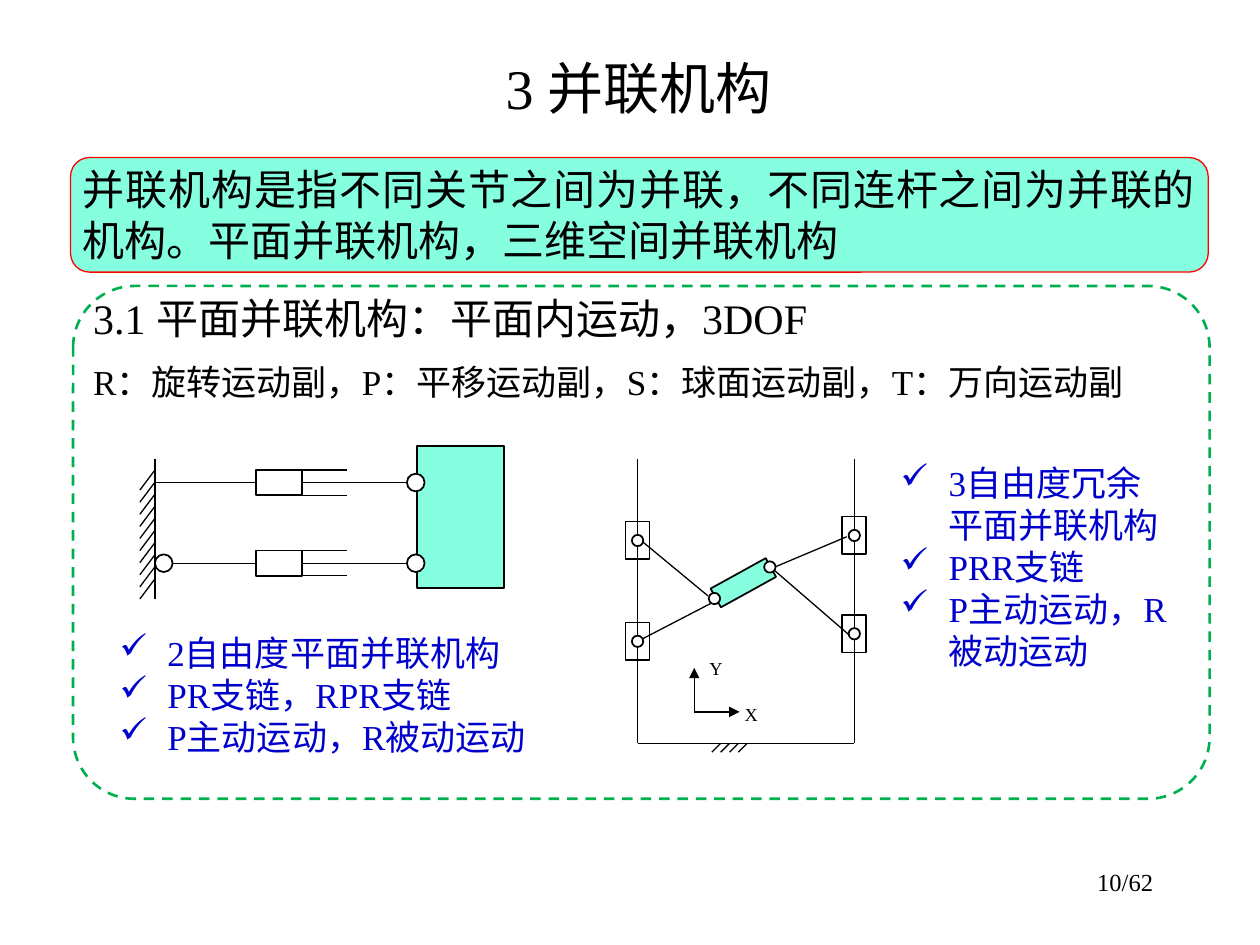
import pptx
import pptx.util
import pptx.dml.color
import pptx.enum.dml
import pptx.enum.shapes
import pptx.enum.text
import pptx.oxml.ns
from lxml import etree

Inches, Pt = pptx.util.Inches, pptx.util.Pt
SHAPE = pptx.enum.shapes.MSO_SHAPE
ALIGN = pptx.enum.text.PP_ALIGN
qn = pptx.oxml.ns.qn

THEME = {
    "latin": "Times New Roman", "cjk": "Noto Sans CJK SC",
    "ink": "000000", "note": "0000CC", "mint": "85FFE0", "white": "FFFFFF",
    "red": "FF0000", "green": "00B050",
    "title": 32, "head": 24, "body": 20, "page": 14, "axis": 10.5,
    "thin": 0.75, "outline": 1, "dash": 1.5,
}

TITLE = "3 并联机构"
DEFINITION = ("并联机构是指不同关节之间为并联，不同连杆之间为并联的机构。"
              "平面并联机构，三维空间并联机构")
SECTION = "3.1 平面并联机构：平面内运动，3DOF"
LEGEND = "R：旋转运动副，P：平移运动副，S：球面运动副，T：万向运动副"
PAGE = "10/62"
TWO_DOF = ["2自由度平面并联机构", "PR支链，RPR支链", "P主动运动，R被动运动"]
THREE_DOF = ["3自由度冗余平面并联机构", "PRR支链", "P主动运动，R被动运动"]

# Mechanism with two degrees of freedom
WALL_X, WALL_TOP, WALL_BOTTOM = 1.23, 3.64, 4.75
PLATFORM = (3.31, 3.54, 0.69, 1.13)
CHAINS = [(3.83, False), (4.47, True)]  # height, joint at the wall
CYLINDER_X, CYLINDER_W, CYLINDER_H = 2.03, 0.37, 0.2
ROD_END, JOINT, JOINT_X = 2.75, 0.14, 3.3

# Mechanism with three degrees of freedom
RAILS, RAIL_TOP, BASE_Y = (5.06, 6.78), 3.64, 5.9
SLIDERS = [(5.06, 4.29), (5.06, 5.09), (6.78, 4.25), (6.78, 5.03)]
SLIDER_W, SLIDER_H, PIN = 0.19, 0.3, 0.09
EFFECTOR = (5.65, 4.54, 0.5, 0.17)
EFFECTOR_PINS = [(5.67, 4.75), (6.11, 4.5)]
LINKS = [(6.15, 4.5, 6.72, 4.26), (6.15, 4.53, 6.74, 5.04),
         (5.1, 4.3, 5.62, 4.73), (5.1, 5.07, 5.64, 4.79)]
AXES = [("X", (5.87, 5.65), (5.87, 5.5)), ("Y", (5.51, 5.3), (5.59, 5.13))]
ORIGIN = (5.51, 5.65)


def rgb(name):
    return pptx.dml.color.RGBColor.from_string(THEME[name])


def add_shape(shapes, kind, box, fill=None, line="ink", width="outline"):
    sp = shapes.add_shape(kind, *map(Inches, box))
    sp.shadow.inherit = False
    if fill:
        sp.fill.solid()
        sp.fill.fore_color.rgb = rgb(fill)
    else:
        sp.fill.background()
    sp.line.color.rgb = rgb(line)
    sp.line.width = Pt(THEME[width])
    return sp


def add_centred(shapes, kind, x, y, w, h, fill=None):
    return add_shape(shapes, kind, (x - w / 2, y - h / 2, w, h), fill)


def add_line(shapes, x1, y1, x2, y2, arrow=False):
    ln = shapes.add_connector(pptx.enum.shapes.MSO_CONNECTOR.STRAIGHT,
                              *map(Inches, (x1, y1, x2, y2)))
    ln.line.color.rgb = rgb("ink")
    ln.line.width = Pt(THEME["thin"])
    if arrow:
        etree.SubElement(ln.line._get_or_add_ln(), qn("a:tailEnd"), type="triangle")
    etree.SubElement(ln._element.spPr, qn("a:effectLst"))


def add_text(shapes, box, lines, size, color="ink", font="latin", align=ALIGN.LEFT,
             bullet=False, middle=False, inset=None, spacing=None):
    tb = shapes.add_textbox(*map(Inches, box))
    tf = tb.text_frame
    tf.word_wrap = True
    if middle:
        tf.vertical_anchor = pptx.enum.text.MSO_ANCHOR.MIDDLE
    if inset is not None:
        tf.margin_left = tf.margin_right = Inches(inset)
        tf.margin_top = tf.margin_bottom = Inches(inset)
    tf.text = "\n".join(lines)
    for p in tf.paragraphs:
        p.alignment = align
        if spacing:
            p.line_spacing = spacing
        if bullet:
            pPr = p._p.get_or_add_pPr()
            pPr.set("marL", str(Inches(0.38)))
            pPr.set("indent", str(-Inches(0.38)))
            etree.SubElement(pPr, qn("a:buChar"), char="✓")
        for r in p.runs:
            r.font.size = Pt(THEME[size])
            r.font.color.rgb = rgb(color)
            r.font.name = THEME[font]
            etree.SubElement(r.font._element, qn("a:ea"), typeface=THEME["cjk"])


def draw_two_dof(shapes):
    add_shape(shapes, SHAPE.RECTANGLE, PLATFORM, "mint")
    rod_x = CYLINDER_X + CYLINDER_W
    for y, wall_joint in CHAINS:
        start = WALL_X
        if wall_joint:
            add_centred(shapes, SHAPE.OVAL, WALL_X + JOINT / 2, y, JOINT, JOINT)
            start += JOINT
        top = y - CYLINDER_H / 2
        add_line(shapes, start, y, CYLINDER_X, y)
        add_shape(shapes, SHAPE.RECTANGLE, (CYLINDER_X, top, CYLINDER_W, CYLINDER_H))
        for edge in (top, top + CYLINDER_H):
            add_line(shapes, rod_x, edge, ROD_END, edge)
        add_line(shapes, rod_x, y, JOINT_X - JOINT / 2, y)
        add_centred(shapes, SHAPE.OVAL, JOINT_X, y, JOINT, JOINT, "white")
    add_line(shapes, WALL_X, WALL_TOP, WALL_X, WALL_BOTTOM)
    for i in range(10):
        y = 3.73 + 0.096 * i
        add_line(shapes, WALL_X, y, WALL_X - 0.12, y + 0.16)


def draw_three_dof(shapes):
    for label, tip, (x, y) in AXES:
        add_line(shapes, *ORIGIN, *tip, arrow=True)
        add_text(shapes, (x, y, 0.28, 0.33), [label], "axis",
                 align=ALIGN.JUSTIFY, inset=0.04, spacing=1.25)
    for x in RAILS:
        add_line(shapes, x, RAIL_TOP, x, BASE_Y)
    add_line(shapes, RAILS[0], BASE_Y, RAILS[1], BASE_Y)
    for i in range(4):
        x = 5.72 + 0.07 * i
        add_line(shapes, x, BASE_Y, x - 0.07, BASE_Y + 0.07)
    for x, y in SLIDERS:
        add_centred(shapes, SHAPE.RECTANGLE, x, y, SLIDER_W, SLIDER_H)
        add_centred(shapes, SHAPE.OVAL, x, y, PIN, PIN, "white")
    add_shape(shapes, SHAPE.RECTANGLE, EFFECTOR, "mint").rotation = 331.1
    for x, y in EFFECTOR_PINS:
        add_centred(shapes, SHAPE.OVAL, x, y, PIN, PIN, "white")
    for link in LINKS:
        add_line(shapes, *link)


def main():
    prs = pptx.Presentation()
    prs.slide_width, prs.slide_height = Inches(10), Inches(7.5)
    s = prs.slides.add_slide(prs.slide_layouts[6])
    shapes = s.shapes

    banner = (0.56, 1.25, 9.03, 0.91)
    add_shape(shapes, SHAPE.ROUNDED_RECTANGLE, banner, "mint", "red", "thin")
    add_text(shapes, (7.17, 6.83, 2.08, 0.5), [PAGE], "page", align=ALIGN.RIGHT)
    add_text(shapes, (0.82, 0.32, 8.5, 0.75), [TITLE], "title",
             align=ALIGN.CENTER, middle=True)
    add_text(shapes, banner, [DEFINITION], "head", font="cjk", align=ALIGN.JUSTIFY)
    add_text(shapes, (0.64, 2.27, 6.68, 0.5), [SECTION], "head")
    frame = add_shape(shapes, SHAPE.ROUNDED_RECTANGLE, (0.58, 2.27, 9.02, 4.07),
                      line="green", width="dash")
    frame.adjustments[0] = 0.12
    frame.line.dash_style = pptx.enum.dml.MSO_LINE.DASH
    add_text(shapes, (0.85, 4.96, 3.45, 1.11), TWO_DOF, "body", "note", bullet=True)
    add_text(shapes, (0.64, 2.81, 8.68, 0.44), [LEGEND], "body")
    draw_two_dof(shapes.add_group_shape().shapes)
    draw_three_dof(shapes.add_group_shape().shapes)
    add_text(shapes, (7.05, 3.61, 2.32, 1.78), THREE_DOF, "body", "note", bullet=True)
    prs.save("out.pptx")


if __name__ == "__main__":
    main()
